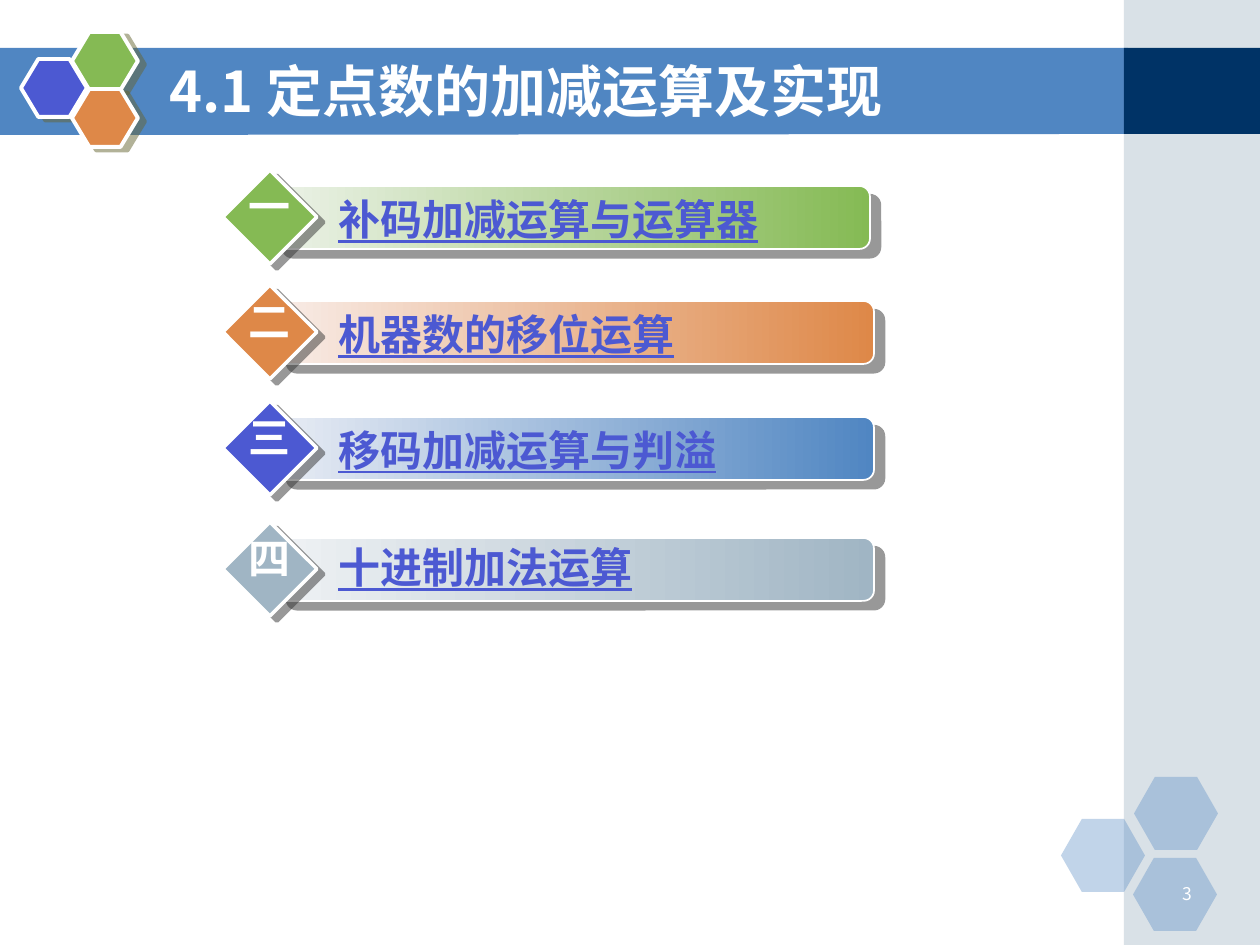
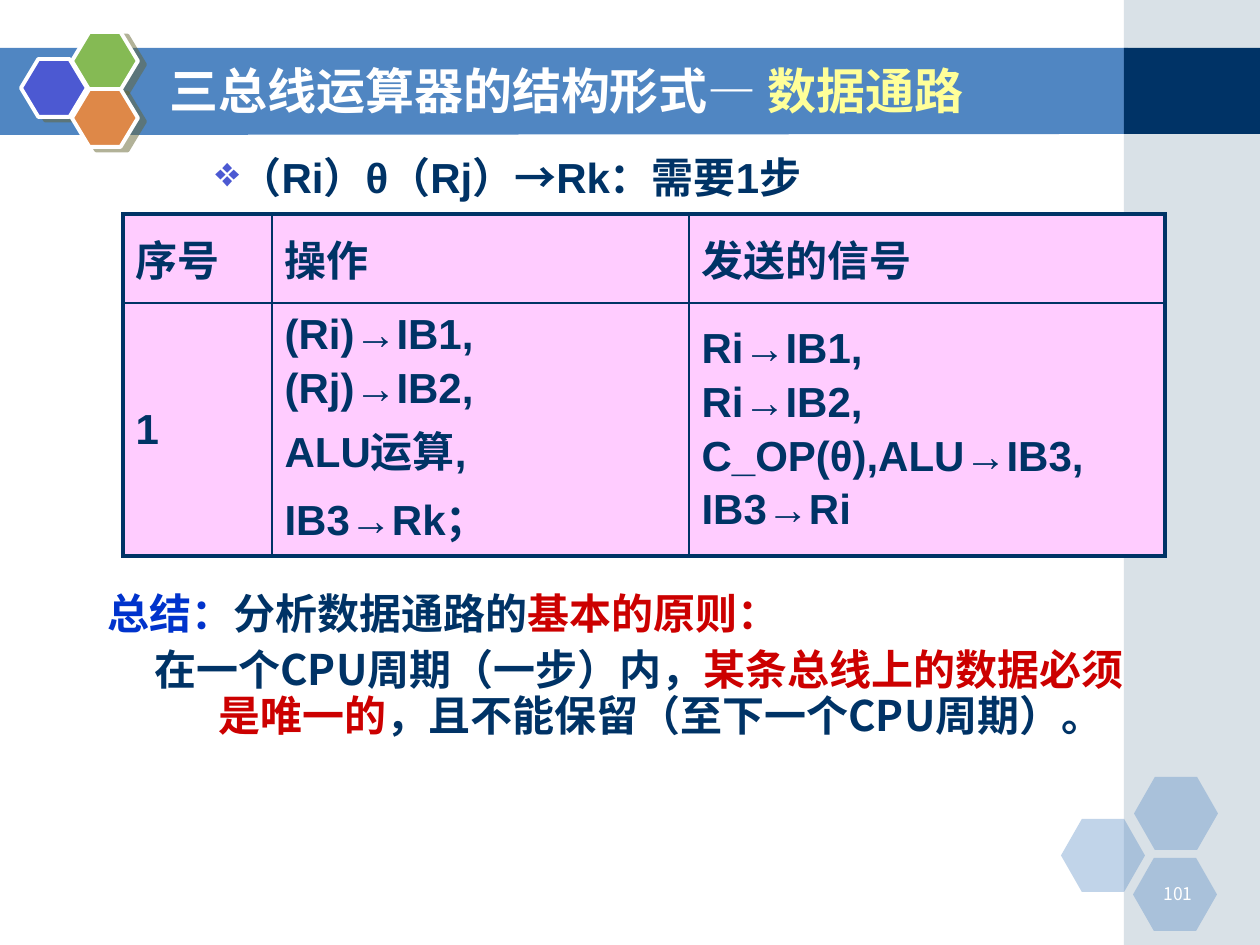
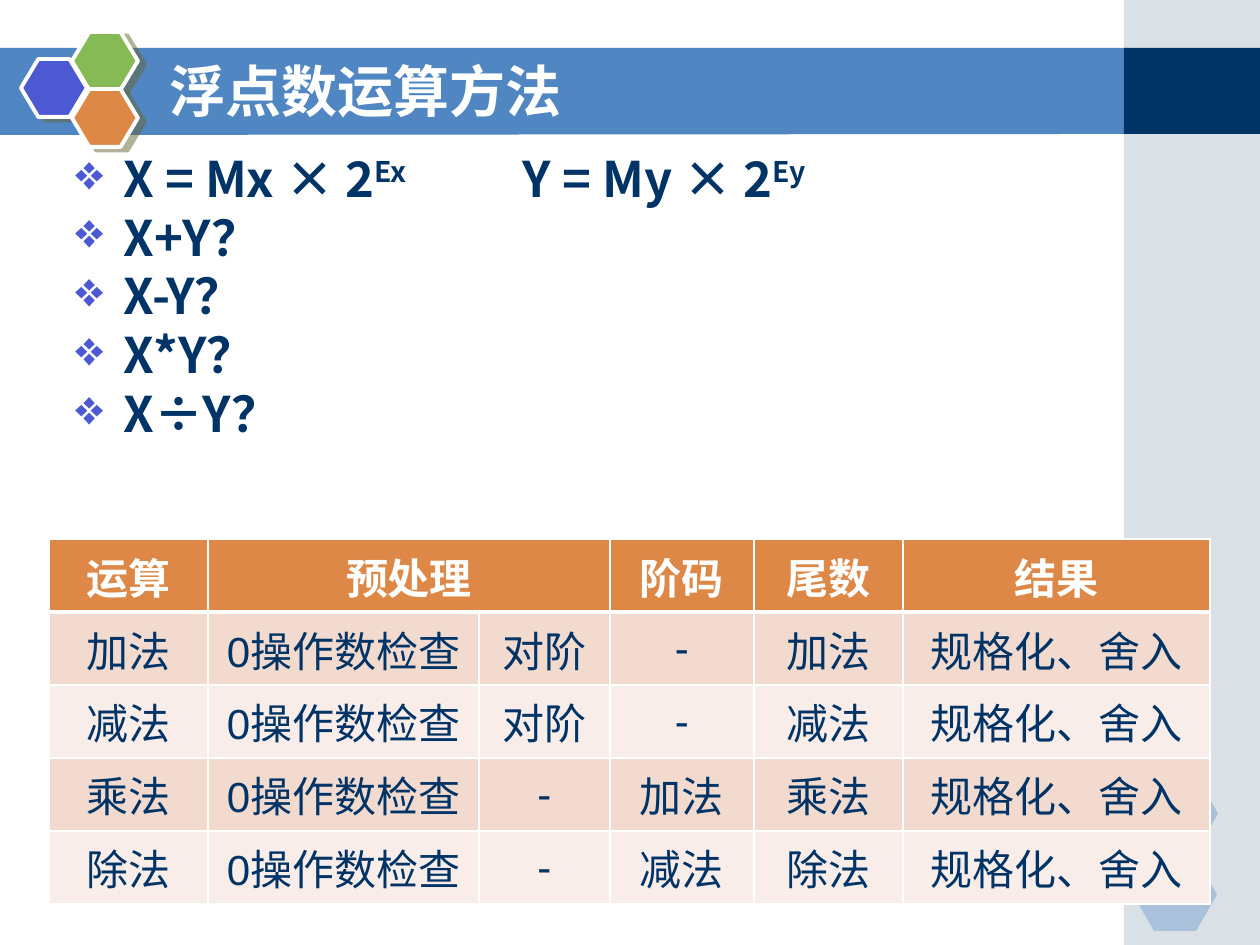
import pptx
import pptx.util
import pptx.dml.color
import pptx.enum.shapes
import pptx.enum.text
import pptx.oxml.ns
import lxml.etree

PX = 914400 / 126
SANS, ARIAL = "Noto Sans CJK SC", "Arial"
NAVY, BLUE, VIOLET = "003366", "5086C2", "4C59D2"
GREEN, ORANGE, STEEL = "85BA54", "DE8848", "A0B5C4"
WHITE, YELLOW, RED, ROYAL, PINK = "FFFFFF", "FFFF99", "CC0000", "0033CC", "FFCCFF"

KIND = pptx.enum.shapes.MSO_SHAPE
ALIGN = pptx.enum.text.PP_ALIGN
MIDDLE = pptx.enum.text.MSO_ANCHOR.MIDDLE
Pt = pptx.util.Pt
qn = pptx.oxml.ns.qn


def px(n):
    return pptx.util.Emu(round(n * PX))


def rgb(code):
    return pptx.dml.color.RGBColor.from_string(code)


def sub(node, tag, **attrs):
    return lxml.etree.SubElement(node, qn("a:" + tag), {k: str(v) for k, v in attrs.items()})


class Deck:
    """Holds the shared style and the slide being built."""

    def __init__(self):
        self.prs = pptx.Presentation()
        self.prs.slide_width, self.prs.slide_height = px(1260), px(945)

    def page(self, title, number, size=32, face=SANS):
        self.slide = self.prs.slides.add_slide(self.prs.slide_layouts[5])
        self.shapes = self.slide.shapes
        self.frame()
        self.text((1142, 877, 63, 32), [number], size=10, color=WHITE, bold=False, align=ALIGN.RIGHT)
        head = self.shapes.title
        head.element.getparent().append(head.element)
        self.place(head, (157, 51, 924, 78))
        body = head.text_frame
        body.auto_size = pptx.enum.text.MSO_AUTO_SIZE.NONE
        body.vertical_anchor = MIDDLE
        body.margin_top = body.margin_bottom = 0
        self.fill_para(body.paragraphs[0], title, size=size, face=face, color=WHITE, align=ALIGN.LEFT)

    def frame(self):
        """Draw the band, side strip and hexagons found on every slide."""
        pen = self.shapes.build_freeform(0, 48, scale=PX)
        pen.add_line_segments([(1128, 48), (1128, 134), (0, 135)])
        self.paint(pen.convert_to_shape(), BLUE)
        self.shape(KIND.RECTANGLE, (1124, 0, 136, 945), STEEL, alpha=40)
        self.shape(KIND.RECTANGLE, (1124, 48, 136, 86), NAVY)
        for x, y in (1061, 819), (1134, 777), (1133, 858):
            self.shape(KIND.HEXAGON, (x, y, 84, 73), BLUE, alpha=35, adj=0.286)
        for x, y, color in (21, 59, VIOLET), (72, 32, GREEN), (72, 89, ORANGE):
            self.shape(KIND.HEXAGON, (x, y, 66, 58), color, line=2.25,
                       shade=("666633", 4.5, 27), adj=0.3)

    def place(self, item, box):
        item.left, item.top, item.width, item.height = map(px, box)

    def shape(self, kind, box, fill, adj=None, **look):
        item = self.shapes.add_shape(kind, *map(px, box))
        if adj:
            item.adjustments[0] = adj
        self.paint(item, fill, **look)

    def paint(self, item, fill, alpha=None, line=None, shade=None):
        """Fill with one colour, or a left-to-right gradient for a pair."""
        if isinstance(fill, tuple):
            item.fill.gradient()
            item.fill.gradient_angle = 0
            for stop, color in zip(item.fill.gradient_stops, fill):
                stop.color.rgb = rgb(color)
        else:
            item.fill.solid()
            item.fill.fore_color.rgb = rgb(fill)
        props = item.element.spPr
        if alpha:
            sub(props.find(".//" + qn("a:srgbClr")), "alpha", val=alpha * 1000)
        if line:
            item.line.color.rgb = rgb(WHITE)
            item.line.width = Pt(line)
        else:
            item.line.fill.background()
        item.shadow.inherit = False
        if shade:
            color, dist, angle = shade
            drop = sub(props.find(qn("a:effectLst")), "outerShdw", blurRad=0, dist=Pt(dist),
                       dir=angle * 60000, algn="ctr", rotWithShape=0)
            sub(sub(drop, "srgbClr", val=color), "alpha", val=50000)

    def text(self, box, paras, wrap=True, **style):
        """Add a text box; each paragraph is a string or a list of runs."""
        body = self.shapes.add_textbox(*map(px, box)).text_frame
        body.word_wrap = wrap
        self.fill_body(body, paras, **style)
        return body

    def fill_body(self, body, paras, before=0, **style):
        for i, runs in enumerate(paras):
            para = body.add_paragraph() if i else body.paragraphs[0]
            if i and before:
                para.space_before = Pt(before)
            self.fill_para(para, runs, **style)

    def fill_para(self, para, runs, size=24, face=SANS, color=NAVY, bold=True, align=None,
                  line=None, after=None, bullet=False, indent=None, under=None):
        """Runs are a string, or pairs of text and a colour or "sup"."""
        if align is not None:
            para.alignment = align
        if line:
            para.line_spacing = line
        if after:
            para.space_after = Pt(after)
        props = para._p.get_or_add_pPr()
        if indent:
            left, first = indent
            props.set("marL", str(px(left)))
            props.set("indent", str(px(first)))
        if bullet:
            sub(sub(props, "buClr"), "srgbClr", val=VIOLET)
            sub(props, "buChar", char="❖")
        font = para.font
        font.name, font.size, font.bold = face, Pt(size), bold
        font.color.rgb = rgb(color)
        font.underline = under
        sub(font._element, "ea", typeface=SANS)
        for words, mark in [(runs, None)] if isinstance(runs, str) else runs:
            run = para.add_run()
            run.text = words
            if mark == "sup":
                run._r.get_or_add_rPr().set("baseline", "30000")
            elif mark:
                run.font.color.rgb = rgb(mark)

    def table(self, spot, cols, rows, data, look, edge):
        """look(row) gives fill and text style; edge(row, col) gives l, r, t, b widths and colour."""
        grid = self.shapes.add_table(len(rows), len(cols), *map(px, (*spot, sum(cols), sum(rows)))).table
        for col, width in zip(grid.columns, cols):
            col.width = px(width)
        for row, height in zip(grid.rows, rows):
            row.height = px(height)
        for r, line in enumerate(data):
            fill, style = look(r)
            for c, words in enumerate(line):
                cell = grid.cell(r, c)
                cell.vertical_anchor = MIDDLE
                cell.fill.solid()
                cell.fill.fore_color.rgb = rgb(fill)
                self.fill_body(cell.text_frame, words.split("\n"), face=ARIAL, **style)
                self.border(cell, *edge(r, c))
        return grid

    def border(self, cell, widths, color):
        props = cell._tc.get_or_add_tcPr()
        for i, (side, width) in enumerate(zip("LRTB", widths)):
            rule = sub(props, "ln" + side, w=Pt(width))
            sub(sub(rule, "solidFill"), "srgbClr", val=color)
            props.insert(i, rule)


def agenda(deck):
    deck.page("4.1 定点数的加减运算及实现", "3")
    items = [
        ("一", "补码加减运算与运算器", 170, 272, 187, "ECF2E8", GREEN, GREEN),
        ("二", "机器数的移位运算", 285, 276, 302, "F8ECE7", ORANGE, ORANGE),
        ("三", "移码加减运算与判溢", 401, 276, 418, "E8ECF4", BLUE, VIOLET),
        ("四", "十进制加法运算", 522, 276, 535, "EFF2F4", STEEL, STEEL),
    ]
    for mark, topic, top, left, base, pale, deep, gem in items:
        deck.shape(KIND.ROUNDED_RECTANGLE, (left, top + 16, 598, 63), (pale, deep), adj=0.167,
                   line=1, shade=("333333", 7.8, 40))
        deck.text((326, base, 562, 63), [topic], color=VIOLET, under=True)
        deck.shape(KIND.DIAMOND, (223, top, 94, 94), gem, line=2, shade=("333333", 5, 37))
        deck.text((236, top + 4, 68, 63), [mark], wrap=False, color=WHITE, align=ALIGN.CENTER)


def paths(deck):
    deck.page([("三总线运算器的结构形式— ", None), ("数据通路", YELLOW)], "101", size=28, face=ARIAL)
    data = [
        ["序号", "操作", "发送的信号"],
        ["1", "(Ri)→IB1,\n(Rj)→IB2,\nALU运算,\nIB3→Rk；",
         "Ri→IB1,\nRi→IB2,\nC_OP(θ),ALU→IB3,\nIB3→Ri"],
    ]

    def edge(r, c):
        outer = c == 0, c == 2, r == 0, r == 1
        return [2.25 if side else 1 for side in outer], NAVY

    deck.table((123, 214), [149, 417, 476], [89, 253], data,
               lambda r: (PINK, {"before": 4}), edge)
    deck.text((203, 145, 912, 63), ["（Ri）θ（Rj）→Rk：需要1步"], face=ARIAL, bullet=True)
    style = {"line": 0.91, "after": 5.7}
    body = deck.text((95, 587, 1052, 189),
                     [[("总结：", ROYAL), ("分析数据通路的", None), ("基本的原则：", RED)]],
                     indent=(111, -111), **style)
    deck.fill_para(body.add_paragraph(),
                   [("在一个CPU周期（一步）内，", None), ("某条总线上的数据必须是唯一的", RED),
                    ("，且不能保留（至下一个CPU周期）。", None)],
                   indent=(111, -64), **style)


def floats(deck):
    deck.page("浮点数运算方法", "108")
    power = [("X = Mx × 2", None), ("Ex\t\t ", "sup"), ("Y = My × 2", None), ("Ey", "sup")]
    deck.text((63, 152, 1134, 365), [power, "X+Y？", "X-Y？", "X*Y？", "X÷Y？"], size=28,
              bullet=True, indent=(48, -48), line=0.83, before=5.7)
    check, final = "0操作数检查", "规格化、舍入"
    data = [
        ["运算", "预处理", "", "阶码", "尾数", "结果"],
        ["加法", check, "对阶", "-", "加法", final],
        ["减法", check, "对阶", "-", "减法", final],
        ["乘法", check, "-", "加法", "乘法", final],
        ["除法", check, "-", "减法", "除法", final],
    ]

    def look(r):
        fill = ("F2DACF" if r % 2 else "F9EDE9") if r else ORANGE
        return fill, {"color": NAVY if r else WHITE, "bold": r == 0, "align": ALIGN.CENTER}

    def edge(r, c):
        return (1, 1, 3 if r == 1 else 1, 1 if r else 3), WHITE

    grid = deck.table((49, 539), [159, 271, 131, 144, 149, 307], [73] * 5, data, look, edge)
    grid.cell(0, 1).merge(grid.cell(0, 2))


def main():
    deck = Deck()
    agenda(deck)
    paths(deck)
    floats(deck)
    deck.prs.save("out.pptx")


if __name__ == "__main__":
    main()
